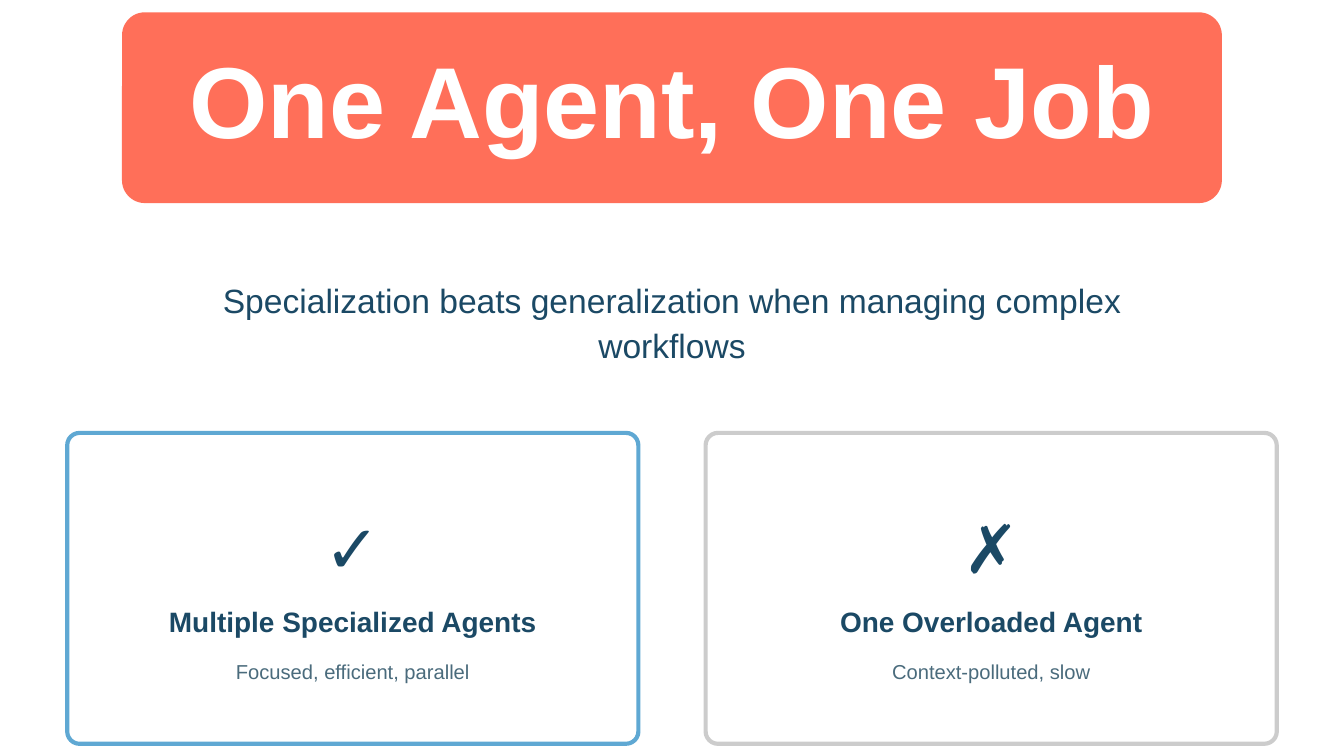
"""Build a slide that contrasts specialized agents with one overloaded agent."""
from pptx import Presentation
from pptx.dml.color import RGBColor
from pptx.enum.shapes import MSO_SHAPE
from pptx.enum.text import PP_ALIGN
from pptx.util import Pt

ROUNDED = MSO_SHAPE.ROUNDED_RECTANGLE
CENTER = PP_ALIGN.CENTER
FONT = "Arial"
COLORS = {"coral": "FF6F59", "white": "FFFFFF", "navy": "1B4965",
          "slate": "4A6B7C", "blue": "5FA8D3", "gray": "CCCCCC"}

TITLE = "One Agent, One Job"
SUBTITLE = "Specialization beats generalization when managing complex workflows"
CARDS = [
    ("blue", "✓", "Multiple Specialized Agents", "Focused, efficient, parallel"),
    ("gray", "✗", "One Overloaded Agent", "Context-polluted, slow"),
]
CARD_LINES = [
    dict(top=264.2, height=50.4, size=36, leading=50.4, color="navy", after=6),
    dict(top=320.6, height=21, size=15, leading=21, color="navy", bold=True, after=9.6),
    dict(top=350.9, height=15.1, size=10.8, leading=15.1, color="slate"),
]

SLIDE_WIDTH, SLIDE_HEIGHT = 720, 405
MARGIN, CARD_GAP, CARD_INSET = 36, 36, 17.6
CARD_TOP, CARD_HEIGHT = 231.9, 166.6
CARD_WIDTH = (SLIDE_WIDTH - 2 * MARGIN - CARD_GAP) / 2


def rgb(name):
    return RGBColor.from_string(COLORS[name])


def add_panel(page, left, top, width, height, rounding, fill, line=None):
    panel = page.shapes.add_shape(ROUNDED, Pt(left), Pt(top), Pt(width), Pt(height))
    panel.shadow.inherit = False
    panel.adjustments[0] = rounding
    panel.fill.solid()
    panel.fill.fore_color.rgb = rgb(fill)
    if line:
        panel.line.color.rgb = rgb(line)
        panel.line.width = Pt(2.25)
    else:
        panel.line.fill.background()


def add_text(page, text, left, width, top, height, size, leading, color,
             bold=False, before=0, after=0):
    box = page.shapes.add_textbox(Pt(left), Pt(top), Pt(width), Pt(height))
    frame = box.text_frame
    frame.word_wrap = True
    frame.margin_left = frame.margin_right = frame.margin_top = frame.margin_bottom = 0
    frame.text = text
    para = frame.paragraphs[0]
    para.alignment = CENTER
    para.line_spacing = Pt(leading)
    para.space_before = Pt(before)
    para.space_after = Pt(after)
    font = para.runs[0].font
    font.name = FONT
    font.size = Pt(size)
    font.bold = bold
    font.color.rgb = rgb(color)


def main():
    deck = Presentation()
    deck.slide_width, deck.slide_height = Pt(SLIDE_WIDTH), Pt(SLIDE_HEIGHT)
    page = deck.slides.add_slide(deck.slide_layouts[6])

    add_panel(page, 65.4, 6.6, 589.2, 102.2, 0.12, "coral")
    add_text(page, TITLE, 96.5, 527, top=31, height=54, size=54, leading=54,
             color="white", bold=True)
    add_text(page, SUBTITLE, 92.2, 535.6, top=147.6, height=48, size=18, leading=24,
             color="navy", before=3, after=24)

    for index, (border, *texts) in enumerate(CARDS):
        left = MARGIN + index * (CARD_WIDTH + CARD_GAP)
        add_panel(page, left, CARD_TOP, CARD_WIDTH, CARD_HEIGHT, 0.04, "white", border)
        for text, style in zip(texts, CARD_LINES):
            add_text(page, text, left + CARD_INSET, CARD_WIDTH - 2 * CARD_INSET, **style)

    deck.save("out.pptx")


if __name__ == "__main__":
    main()
